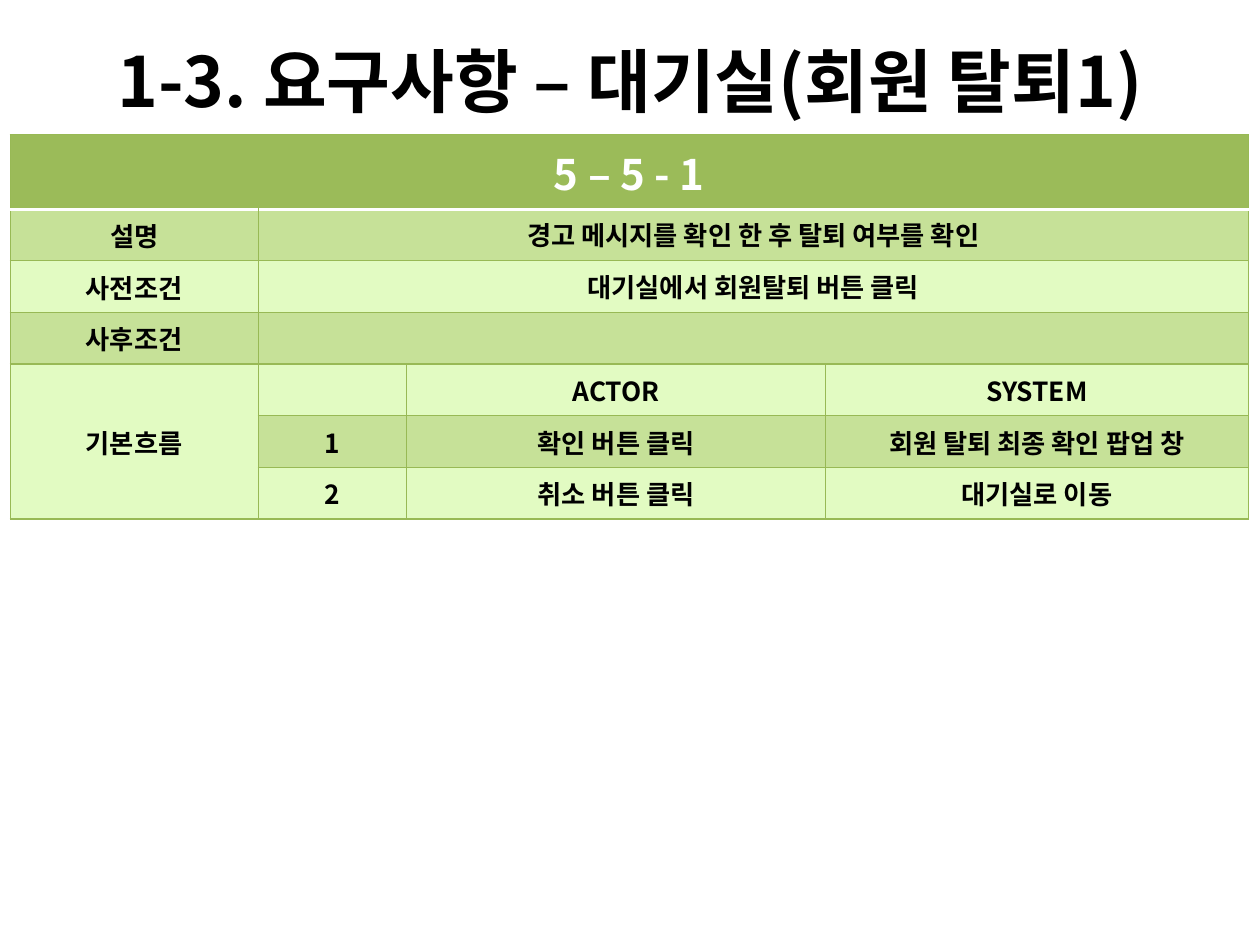
from lxml.etree import SubElement
from pptx import Presentation
from pptx.dml.color import RGBColor
from pptx.enum.text import MSO_ANCHOR, PP_ALIGN
from pptx.oxml.ns import qn
from pptx.util import Inches, Pt

THEME = {
    "font": "Noto Sans CJK KR",
    "title_size": 39.6, "header_size": 24, "body_size": 15,
    "text": "000000", "header_text": "FFFFFF",
    "header_fill": "9BBB59", "band_fill": "C6E198", "plain_fill": "E2FBC2",
    "border": "98B955", "header_rule": "FFFFFF",
    "border_width": 0.75, "header_rule_width": 2,
}

TITLE = "1-3. 요구사항 – 대기실(회원 탈퇴1)"
ROWS = [
    ["5 – 5 - 1", "", "", ""],
    ["설명", "경고 메시지를 확인 한 후 탈퇴 여부를 확인", "", ""],
    ["사전조건", "대기실에서 회원탈퇴 버튼 클릭", "", ""],
    ["사후조건", "", "", ""],
    ["기본흐름", "", "ACTOR", "SYSTEM"],
    ["", "1", "확인 버튼 클릭", "회원 탈퇴 최종 확인 팝업 창"],
    ["", "2", "취소 버튼 클릭", "대기실로 이동"],
]
# First and last cell of each merged block, as (row, column)
MERGES = [((0, 0), (0, 3)), ((4, 0), (6, 0))]
MERGES += [((row, 1), (row, 3)) for row in (1, 2, 3)]
TOP_ANCHORED = {(1, 1), (2, 1)}

COLUMN_WIDTHS = [1.97, 1.18, 3.32, 3.36]
HEADER_HEIGHT, ROW_HEIGHT = 0.59, 0.41
TABLE_LEFT, TABLE_TOP = 0.08, 1.07


def write_text(text_frame, text, size, color):
    paragraph = text_frame.paragraphs[0]
    paragraph.alignment = PP_ALIGN.CENTER
    if not text:
        # Keeps an empty cell from growing to the default text size
        SubElement(paragraph._p, qn("a:endParaRPr"), sz=str(int(size * 100)))
        return
    run = paragraph.add_run()
    run.text = text
    formats = {"name": THEME["font"], "size": Pt(size), "bold": True}
    for name, value in formats.items():
        setattr(run.font, name, value)
    run.font.color.rgb = RGBColor.from_string(color)
    SubElement(run._r.get_or_add_rPr(), qn("a:ea"), typeface=THEME["font"])


def add_borders(cell, row):
    """Must run before the fill is set: the lines come first in the cell's XML."""
    properties = cell._tc.get_or_add_tcPr()
    rule_side = {0: "B", 1: "T"}.get(row)
    for side in "LRTB":
        prefix = "header_rule" if side == rule_side else "border"
        width = Pt(THEME[prefix + "_width"])
        line = SubElement(properties, qn(f"a:ln{side}"), w=str(width))
        fill = SubElement(line, qn("a:solidFill"))
        SubElement(fill, qn("a:srgbClr"), val=THEME[prefix])


def add_title(slide):
    title = slide.shapes.title
    box = {"left": 0.5, "top": 0.16, "width": 9, "height": 0.94}
    for name, value in box.items():
        setattr(title, name, Inches(value))
    frame = title.text_frame
    formats = {"margin_left": 0, "margin_right": 0, "word_wrap": True,
               "vertical_anchor": MSO_ANCHOR.MIDDLE}
    for name, value in formats.items():
        setattr(frame, name, value)
    write_text(frame, TITLE, THEME["title_size"], THEME["text"])


def add_requirement_table(slide):
    heights = [HEADER_HEIGHT] + [ROW_HEIGHT] * (len(ROWS) - 1)
    table = slide.shapes.add_table(
        len(ROWS), len(COLUMN_WIDTHS), Inches(TABLE_LEFT), Inches(TABLE_TOP),
        Inches(sum(COLUMN_WIDTHS)), Inches(sum(heights))).table
    for column, width in zip(table.columns, COLUMN_WIDTHS):
        column.width = Inches(width)
    for table_row, height in zip(table.rows, heights):
        table_row.height = Inches(height)

    for row, texts in enumerate(ROWS):
        for column, text in enumerate(texts):
            cell = table.cell(row, column)
            in_flow_label = column == 0 and row >= 4
            if row == 0:
                fill, color, size = "header_fill", "header_text", "header_size"
            else:
                banded = row % 2 and not in_flow_label
                fill = "band_fill" if banded else "plain_fill"
                color, size = "text", "body_size"
            add_borders(cell, row)
            cell.fill.solid()
            cell.fill.fore_color.rgb = RGBColor.from_string(THEME[fill])
            cell.vertical_anchor = (MSO_ANCHOR.TOP if (row, column) in TOP_ANCHORED
                                    else MSO_ANCHOR.MIDDLE)
            write_text(cell.text_frame, text, THEME[size], THEME[color])
    for first, last in MERGES:
        table.cell(*first).merge(table.cell(*last))


def main():
    presentation = Presentation()
    presentation.slide_width = Inches(10)
    presentation.slide_height = Inches(7.5)
    slide = presentation.slides.add_slide(presentation.slide_layouts[5])
    add_title(slide)
    add_requirement_table(slide)
    presentation.save("out.pptx")


if __name__ == "__main__":
    main()
